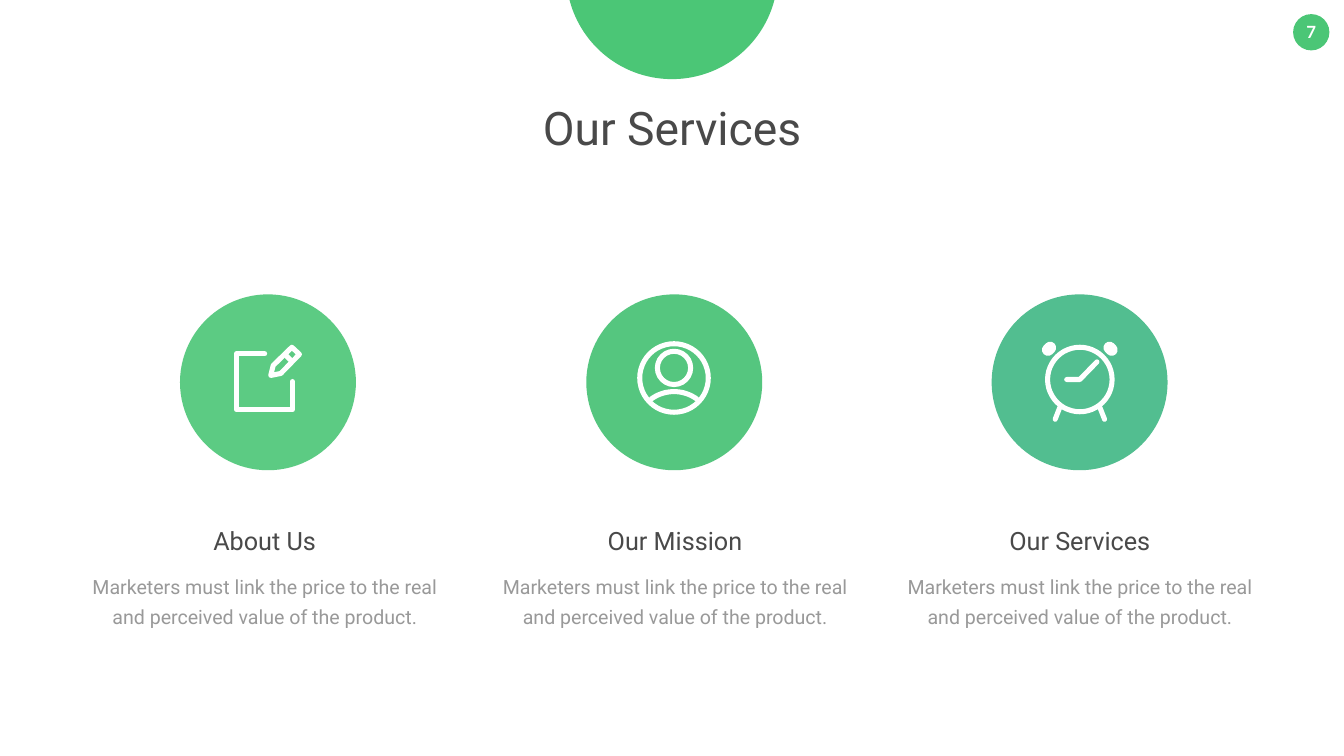
from math import cos, sin, radians

from pptx import Presentation
from pptx.dml.color import RGBColor
from pptx.enum.shapes import MSO_SHAPE as Kind
from pptx.enum.text import MSO_AUTO_SIZE as Fit, PP_ALIGN as Align
from pptx.oxml.ns import qn
from pptx.util import Inches, Pt
from lxml.etree import SubElement as Sub

GREEN, WHITE, DARK, GREY = "4BC676", "FFFFFF", "494949", "999999"
STROKE = 7.2
BODY = "Marketers must link the price to the real and perceived value of the product."


def paint(target, color, alpha=None):
    target.solid()
    target.fore_color.rgb = RGBColor.from_string(color)
    if alpha:
        node = target._xPr.find(qn("a:solidFill"))[0]
        Sub(node, qn("a:alpha"), val=str(alpha * 1000))


def add_solid(shapes, kind, box, color, alpha=None):
    shape = shapes.add_shape(kind, *map(Inches, box))
    shape.shadow.inherit = False
    paint(shape.fill, color, alpha)
    shape.line.fill.background()
    return shape


def add_text(slide, box, text, size, color, font="Roboto", wrap=True,
             bold=False, pitch=None, inset=None):
    frame = slide.shapes.add_textbox(*map(Inches, box)).text_frame
    frame.word_wrap = wrap
    frame.auto_size = Fit.SHAPE_TO_FIT_TEXT
    if inset:
        frame.margin_left = frame.margin_right = Inches(inset)
        frame.margin_top = frame.margin_bottom = Inches(inset / 2)
    frame.text = text
    para = frame.paragraphs[0]
    para.alignment = Align.CENTER
    if pitch:
        para.line_spacing = Pt(pitch)
    style = para.runs[0].font
    style.name, style.size, style.bold = font, Pt(size), bold
    style.color.rgb = RGBColor.from_string(color)


# Icon strokes: white outlines with round ends and joins
def outline(shape):
    shape.shadow.inherit = False
    shape.fill.background()
    shape.line.width = Pt(STROKE)
    paint(shape.line.fill, WHITE)
    line = shape.line.fill._xPr
    line.set("cap", "rnd")
    Sub(line, qn("a:round"))


def add_ring(shapes, x, y, r):
    outline(shapes.add_shape(Kind.OVAL, *map(Inches, (x - r, y - r, 2 * r, 2 * r))))


def add_path(shapes, points, close=False):
    spots = [(Inches(x), Inches(y)) for x, y in points]
    pen = shapes.build_freeform(*spots[0])
    pen.add_line_segments(spots[1:], close=close)
    outline(pen.convert_to_shape())


def draw_edit(shapes):
    add_path(shapes, [(5.25, 7.02), (4.69, 7.02), (4.69, 8.13), (5.8, 8.13), (5.8, 7.57)])
    add_path(shapes, [(5.37, 7.45), (5.42, 7.25), (5.79, 6.89), (5.94, 7.03), (5.57, 7.41)], True)
    add_path(shapes, [(5.68, 7.06), (5.76, 7.14)])


def draw_user(shapes):
    add_ring(shapes, 13.37, 7.5, 0.68)
    add_ring(shapes, 13.37, 7.3, 0.33)
    # Shoulders: an arc around a point below the ring
    turns = [radians(a) for a in range(-126, -53, 4)]
    add_path(shapes, [(13.37 + 0.77 * cos(t), 8.54 + 0.77 * sin(t)) for t in turns])


def draw_clock(shapes):
    x, y = 21.42, 7.53
    add_ring(shapes, x, y, 0.64)
    add_path(shapes, [(x + 0.34, y - 0.35), (x, y), (x - 0.26, y)])
    for side in (-1, 1):
        add_path(shapes, [(x + side * 0.4, y + 0.56), (x + side * 0.49, y + 0.79)])
        bell = add_solid(shapes, Kind.ROUNDED_RECTANGLE,
                         (x + side * 0.61 - 0.15, 6.8, 0.3, 0.24), WHITE)
        bell.adjustments[0] = 0.5
        bell.rotation = side * 45


# Title, disc fill, disc left, text centre, icon
COLUMNS = [
    ("About Us", "4BC676", 3.57, 5.25, draw_edit),
    ("Our Mission", "43C072", 11.63, 13.39, draw_user),
    ("Our Services", "40B884", 19.67, 21.42, draw_clock),
]


def add_column(slide, title, color, left, mid, draw):
    add_solid(slide.shapes, Kind.OVAL, (left, 5.84, 3.49, 3.49), color, 90)
    add_text(slide, (mid - 1.5, 10.38, 3, 0.71), title, 36, DARK, wrap=False)
    add_text(slide, (mid - 3.52, 11.22, 7.04, 1.25), BODY, 28, GREY, pitch=43)
    draw(slide.shapes.add_group_shape().shapes)


def main():
    deck = Presentation()
    deck.slide_width, deck.slide_height = Inches(26.66), Inches(15)
    slide = deck.slides.add_slide(deck.slide_layouts[6])

    # Page number
    add_solid(slide.shapes, Kind.OVAL, (25.65, 0.28, 0.72, 0.72), GREEN)
    add_text(slide, (25.62, 0.33, 0.78, 0.61), "7", 24, WHITE, "Lato",
             wrap=False, bold=True, inset=0.2)

    # Services
    for column in COLUMNS:
        add_column(slide, *column)

    # Heading under the half disc at the top edge
    add_text(slide, (9.53, 1.92, 7.61, 1.21), "Our Services", 66, DARK)
    disc = add_solid(slide.shapes, Kind.CHORD, (11.23, -2.63, 4.2, 4.2), GREEN)
    disc.adjustments[0], disc.adjustments[1] = 8.27, 99.6

    deck.save("out.pptx")


if __name__ == "__main__":
    main()
